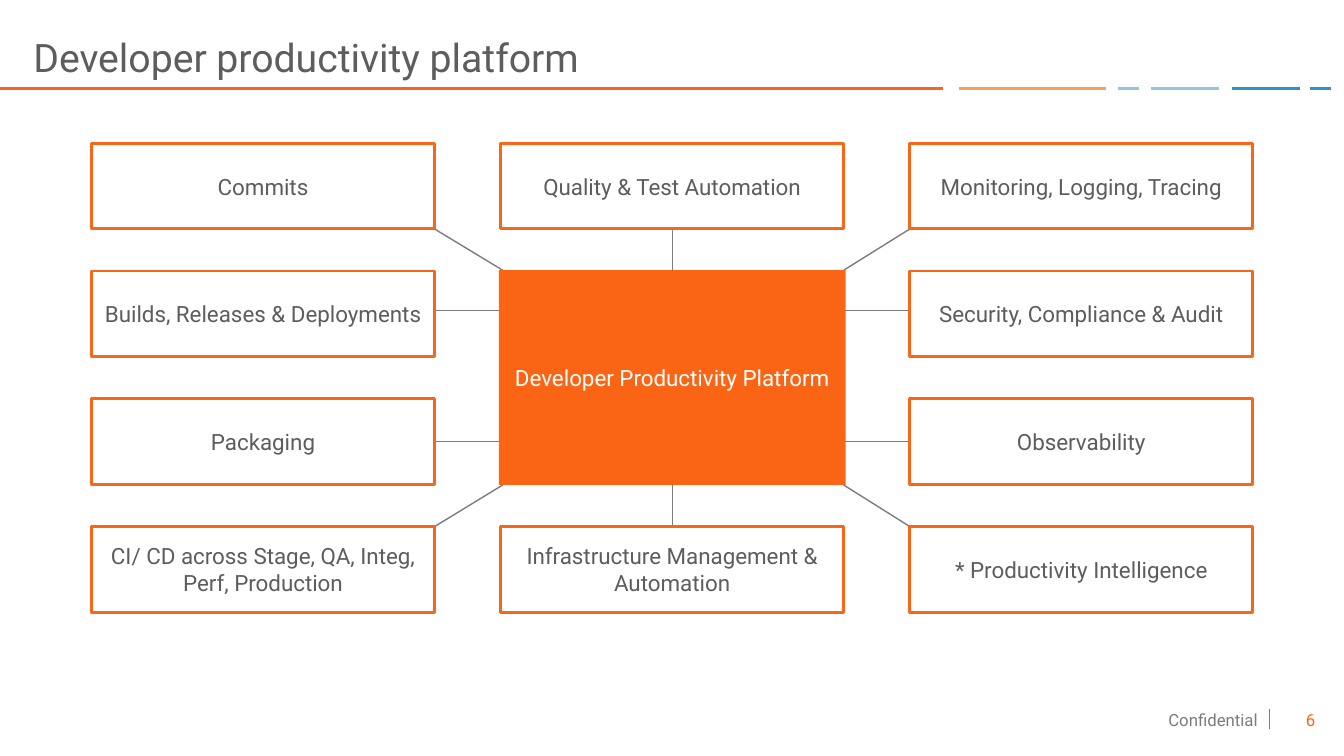
from lxml import etree
from pptx import Presentation
from pptx.dml.color import RGBColor
from pptx.enum.shapes import MSO_CONNECTOR, MSO_SHAPE
from pptx.enum.text import MSO_ANCHOR, MSO_AUTO_SIZE, PP_ALIGN
from pptx.oxml.ns import qn
from pptx.util import Cm, Pt

STRAIGHT = MSO_CONNECTOR.STRAIGHT
RECTANGLE = MSO_SHAPE.RECTANGLE
MIDDLE, BOTTOM = MSO_ANCHOR.MIDDLE, MSO_ANCHOR.BOTTOM
LEFT, CENTER, RIGHT = PP_ALIGN.LEFT, PP_ALIGN.CENTER, PP_ALIGN.RIGHT
FONT = "Roboto"
COLORS = {
    "orange": "FB6517",
    "core": "FA6515",
    "peach": "FC9D60",
    "sky": "93C3E6",
    "teal": "2898C1",
    "gray": "7C7C7C",
    "text": "5D5D5D",
    "white": "FFFFFF",
}


def add_line(x1, y1, x2, y2, color, width):
    line = page.shapes.add_connector(STRAIGHT, Cm(x1), Cm(y1), Cm(x2), Cm(y2))
    line.line.color.rgb = RGBColor.from_string(COLORS[color])
    line.line.width = Pt(width)
    etree.SubElement(line._element.spPr, qn("a:effectLst"))


def write(box, text, size, color, align, anchor=MIDDLE):
    frame = box.text_frame
    frame.word_wrap = True
    frame.auto_size = MSO_AUTO_SIZE.NONE
    frame.vertical_anchor = anchor
    para = frame.paragraphs[0]
    para.alignment = align
    span = para.add_run()
    span.text = text
    span.font.name = FONT
    span.font.size = Pt(size)
    span.font.color.rgb = RGBColor.from_string(COLORS[color])


deck = Presentation()
deck.slide_width, deck.slide_height = Cm(33.87), Cm(19.05)
page = deck.slides.add_slide(deck.slide_layouts[5])

# Title and the broken rule beneath it
title = page.shapes.title
title.left, title.top, title.width, title.height = Cm(0.84), Cm(0), Cm(32.18), Cm(2.16)
write(title, "Developer productivity platform", 28, "text", LEFT, BOTTOM)
title.text_frame.margin_left = title.text_frame.margin_right = 0
title.text_frame.paragraphs[0].line_spacing = 0.9

RULE_Y = 2.24
for start, end, color in [
    (0, 23.77, "orange"),
    (24.16, 27.86, "peach"),
    (28.17, 28.7, "sky"),
    (29.01, 30.73, "sky"),
    (31.04, 32.77, "teal"),
    (33.02, 33.55, "teal"),
]:
    add_line(start, RULE_Y, end, RULE_Y, color, 2)

# Footer
add_line(32, 17.86, 32, 18.36, "gray", 1)
for left, width, text, color in [
    (27.05, 4.9, "Confidential", "gray"),
    (31.5, 1.9, "6", "orange"),
]:
    footer = page.shapes.add_textbox(Cm(left), Cm(17.75), Cm(width), Cm(0.76))
    write(footer, text, 12, color, RIGHT)

# Grid of capabilities around the core
GRID_LEFT, GRID_TOP = 2.31, 3.61
COLUMN_STEP, ROW_STEP = 10.31, 3.22
BOX_WIDTH, BOX_HEIGHT = 8.64, 2.16
CORE_LEFT, CORE_TOP, CORE_WIDTH, CORE_HEIGHT = 12.57, 6.81, 8.74, 5.41

capabilities = [
    ["Commits", "Quality & Test Automation", "Monitoring, Logging, Tracing"],
    ["Builds, Releases & Deployments", None, "Security, Compliance & Audit"],
    ["Packaging", None, "Observability"],
    [
        "CI/ CD across Stage, QA, Integ, Perf, Production",
        "Infrastructure Management & Automation",
        "* Productivity Intelligence",
    ],
]

# Spokes, drawn first so that the boxes cover their ends
left_edge = GRID_LEFT + BOX_WIDTH
right_edge = GRID_LEFT + 2 * COLUMN_STEP
core_left, core_right = CORE_LEFT + 0.05, CORE_LEFT + CORE_WIDTH - 0.05
center = CORE_LEFT + CORE_WIDTH / 2
upper, lower = GRID_TOP + BOX_HEIGHT, GRID_TOP + 3 * ROW_STEP
core_bottom = CORE_TOP + CORE_HEIGHT

for box_y, core_y in [(upper, CORE_TOP), (lower, core_bottom)]:
    add_line(left_edge, box_y, core_left + 0.05, core_y, "gray", 1)
    add_line(center, box_y, center, core_y, "gray", 1)
    add_line(right_edge, box_y, core_right, core_y, "gray", 1)
for y in (7.82, 11.13):
    add_line(left_edge, y, core_left, y, "gray", 1)
    add_line(core_right, y, right_edge, y, "gray", 1)

for row, labels in enumerate(capabilities):
    for column, label in enumerate(labels):
        if label is None:
            continue
        box = page.shapes.add_shape(
            RECTANGLE,
            Cm(GRID_LEFT + column * COLUMN_STEP),
            Cm(GRID_TOP + row * ROW_STEP),
            Cm(BOX_WIDTH),
            Cm(BOX_HEIGHT),
        )
        box.shadow.inherit = False
        box.fill.background()
        box.line.color.rgb = RGBColor.from_string(COLORS["orange"])
        box.line.width = Pt(2)
        write(box, label, 16, "text", CENTER)

core = page.shapes.add_shape(
    RECTANGLE, Cm(CORE_LEFT), Cm(CORE_TOP), Cm(CORE_WIDTH), Cm(CORE_HEIGHT)
)
core.shadow.inherit = False
core.fill.solid()
core.fill.fore_color.rgb = RGBColor.from_string(COLORS["core"])
core.line.fill.background()
write(core, "Developer Productivity Platform", 16, "white", CENTER)

deck.save("out.pptx")
